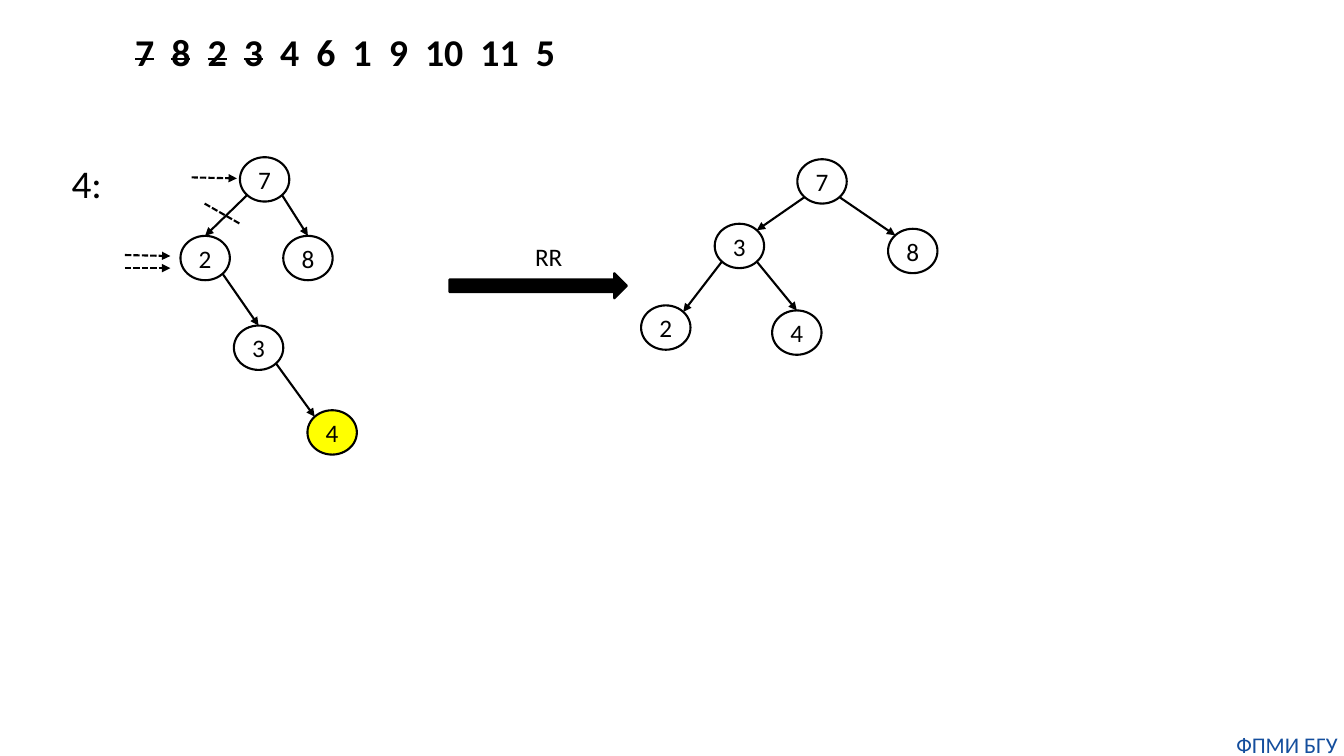
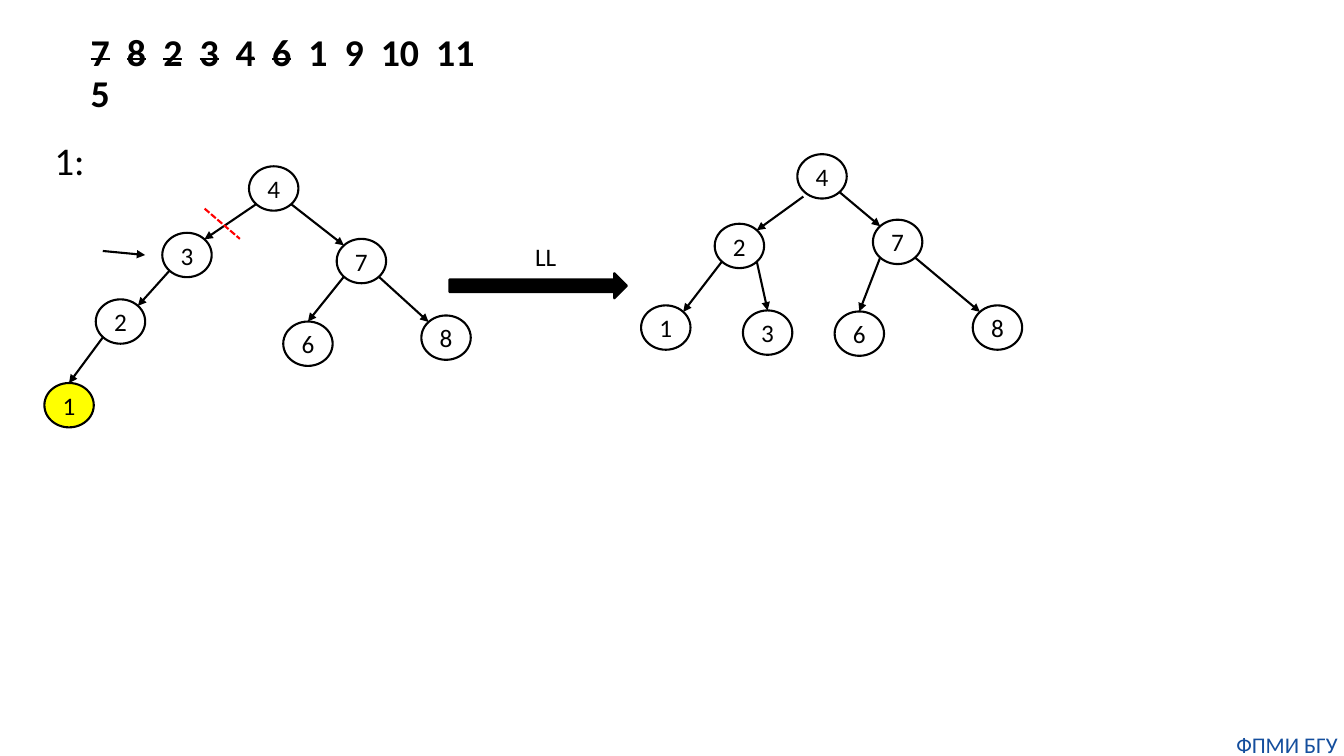
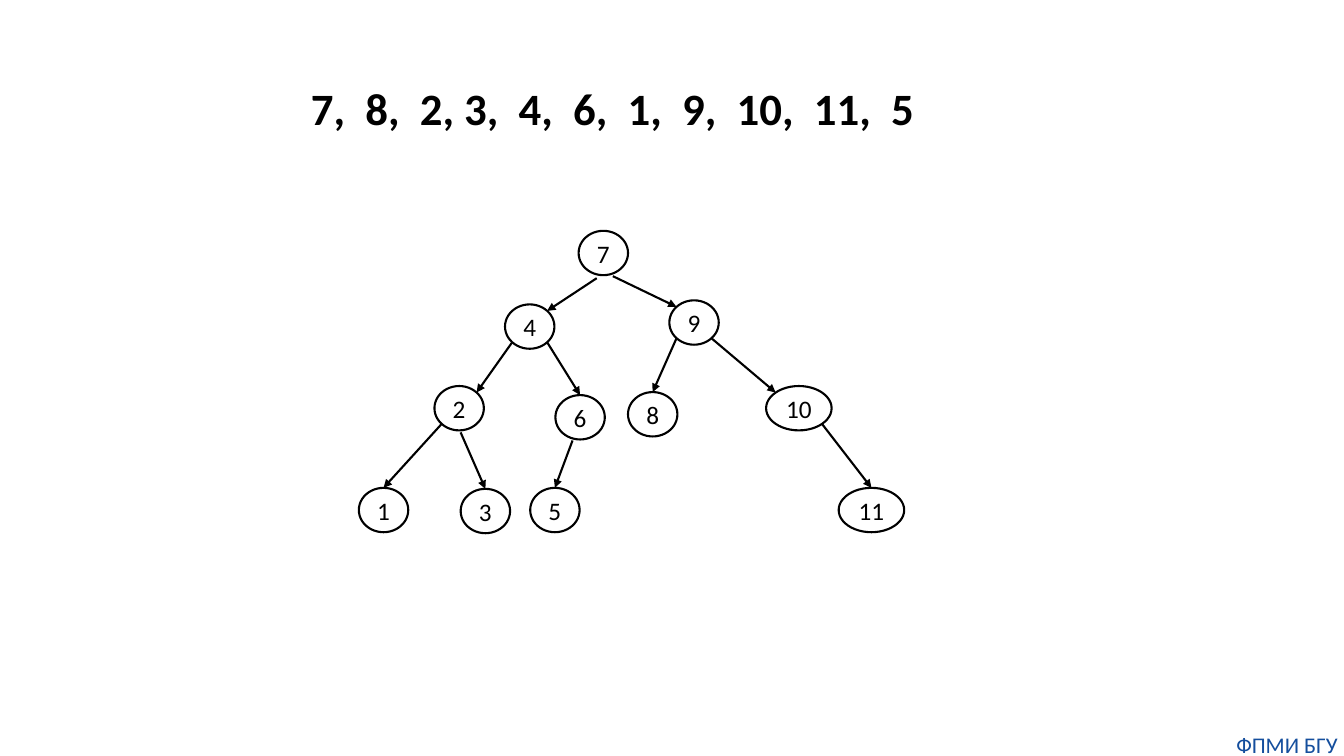
from dataclasses import dataclass
from math import sqrt

from lxml.etree import SubElement
from pptx import Presentation
from pptx.dml.color import RGBColor
from pptx.enum.dml import MSO_LINE
from pptx.enum.shapes import MSO_CONNECTOR, MSO_SHAPE
from pptx.enum.text import MSO_ANCHOR as Anchor, MSO_AUTO_SIZE as AutoSize, PP_ALIGN as Align
from pptx.oxml.ns import qn
from pptx.util import Inches, Pt

# The grid: square cells of a tenth of an inch.
COLUMNS, ROWS = 133.33, 75
NODE_WIDTH, WIDE_NODE, NODE_HEIGHT = 4.9, 6.5, 4.4
DIAGONAL = sqrt(0.5) / 2

FONT = "Calibri"
BLACK = RGBColor(0x00, 0x00, 0x00)
RED = RGBColor(0xFF, 0x00, 0x00)
YELLOW = RGBColor(0xFF, 0xFF, 0x00)
FOOTER_BLUE = RGBColor(0x14, 0x4E, 0x9D)
FOOTER_TEXT = "ФПМИ БГУ"
KEY_GAP = "  "
TITLE_AND_BODY, TITLE_ONLY = 1, 5

Point = tuple[float, float]
Area = tuple[float, float, float, float]


@dataclass(frozen=True)
class Node:
    """A tree node; its edge ends at its top, or at the upper corner facing the parent."""
    key: str
    left: float
    top: float
    parent: str = ""
    at_corner: bool = False
    width: float = NODE_WIDTH
    is_new: bool = False
    edge_start: Point | None = None

    def port(self, across: int, down: int) -> Point:
        """Point on the outline at a diagonal, or straight above or below for across 0."""
        reach = DIAGONAL if across else 0.5
        return (self.left + self.width * (0.5 + across * reach),
                self.top + NODE_HEIGHT * (0.5 + down * reach))


@dataclass(frozen=True)
class Stroke:
    start: Point
    end: Point
    arrow: bool = True
    dashed: bool = False
    color: RGBColor = BLACK


@dataclass(frozen=True)
class Title:
    text: str
    area: Area
    struck: str = ""
    size: float = 27
    align: Align = Align.LEFT
    anchor: Anchor = Anchor.TOP


@dataclass(frozen=True)
class Step:
    """One slide: the key sequence, its trees, and optionally an inserted key and a rotation."""
    title: Title
    trees: tuple[tuple[Node, ...], ...]
    strokes: tuple[Stroke, ...] = ()
    inserted: str = ""
    body_area: Area = (0, 0, 0, 0)
    rotation: str = ""


def cells(*lengths: float) -> list[int]:
    return [Inches(length / 10) for length in lengths]


def style_font(font, size: float, color: RGBColor = BLACK, bold: bool = False) -> None:
    font.name, font.size, font.bold = FONT, Pt(size), bold
    font.color.rgb = color


def place(shape, area: Area) -> None:
    shape.left, shape.top, shape.width, shape.height = cells(*area)


def write_line(frame, text: str, size: float, color: RGBColor = BLACK,
               align: Align = Align.LEFT):
    frame.text = text
    para = frame.paragraphs[0]
    para.alignment = align
    for run in para.runs:
        style_font(run.font, size, color)
    return para


def draw_title(page, title: Title) -> None:
    box = page.shapes.title
    place(box, title.area)
    frame = box.text_frame
    frame.auto_size, frame.word_wrap = AutoSize.NONE, True
    frame.vertical_anchor, frame.margin_bottom = title.anchor, Inches(0.1)
    para = frame.paragraphs[0]
    para.alignment, para.line_spacing = title.align, 0.9
    for index, key in enumerate(title.text.split(KEY_GAP)):
        pieces = [KEY_GAP, key] if index else [key]
        for piece in pieces:
            run = para.add_run()
            run.text = piece
            style_font(run.font, title.size, bold=True)
            if piece in title.struck:
                run.font._element.set("strike", "sngStrike")


def draw_body(page, text: str, area: Area) -> None:
    box = page.placeholders[1]
    place(box, area)
    box.text_frame.auto_size = AutoSize.NONE
    para = write_line(box.text_frame, text, 28)
    para.line_spacing, para.space_before = 0.9, Pt(10)
    properties = para._p.get_or_add_pPr()
    properties.set("marL", "0")
    properties.set("indent", "0")
    SubElement(properties, qn("a:buNone"))


def draw_stroke(page, stroke: Stroke) -> None:
    connector = page.shapes.add_connector(
        MSO_CONNECTOR.STRAIGHT, *cells(*stroke.start, *stroke.end))
    line = connector.line
    line.color.rgb, line.width = stroke.color, Pt(1.5)
    if stroke.dashed:
        line.dash_style = MSO_LINE.SQUARE_DOT
    if stroke.arrow:
        SubElement(line._get_or_add_ln(), qn("a:tailEnd"), type="triangle")
    SubElement(connector._element.spPr, qn("a:effectLst"))


def draw_outlined(page, preset: MSO_SHAPE, area: Area, fill: RGBColor | None):
    shape = page.shapes.add_shape(preset, *cells(*area))
    shape.shadow.inherit = False
    shape.line.color.rgb, shape.line.width = BLACK, Pt(1.5)
    if fill is None:
        shape.fill.background()
    else:
        shape.fill.solid()
        shape.fill.fore_color.rgb = fill
    return shape


def draw_tree(page, tree: tuple[Node, ...]) -> None:
    by_key = {node.key: node for node in tree}
    for node in tree:
        oval = draw_outlined(page, MSO_SHAPE.OVAL,
                             (node.left, node.top, node.width, NODE_HEIGHT),
                             YELLOW if node.is_new else None)
        frame = oval.text_frame
        frame.margin_left = frame.margin_right = frame.margin_top = frame.margin_bottom = 0
        frame.word_wrap, frame.vertical_anchor = False, Anchor.MIDDLE
        write_line(frame, node.key, 18, align=Align.CENTER)
        if node.parent:
            parent = by_key[node.parent]
            side = -1 if node.left < parent.left else 1
            start = node.edge_start or parent.port(side, 1)
            draw_stroke(page, Stroke(start, node.port(-side if node.at_corner else 0, -1)))


def draw_rotation(page, name: str) -> None:
    draw_outlined(page, MSO_SHAPE.RIGHT_ARROW, (44.6, 27.1, 17.6, 2.5), BLACK)
    label = page.shapes.add_textbox(*cells(52.1, 23.4, 4.8, 4))
    label.text_frame.word_wrap = False
    write_line(label.text_frame, name, 18)


def draw_footer(page) -> None:
    width, height = 11.3, 2.7
    box = page.shapes.add_textbox(*cells(COLUMNS - width, 72.5, width, height))
    frame = box.text_frame
    frame.margin_left = frame.margin_right = frame.margin_top = frame.margin_bottom = 0
    frame.word_wrap = True
    write_line(frame, FOOTER_TEXT, 16, FOOTER_BLUE, Align.CENTER)


def draw_step(deck, step: Step) -> None:
    layout = TITLE_AND_BODY if step.inserted else TITLE_ONLY
    page = deck.slides.add_slide(deck.slide_layouts[layout])
    draw_title(page, step.title)
    if step.inserted:
        draw_body(page, f"{step.inserted}:", step.body_area)
    if step.rotation:
        draw_rotation(page, step.rotation)
    for tree in step.trees:
        draw_tree(page, tree)
    for stroke in step.strokes:
        draw_stroke(page, stroke)
    draw_footer(page)


KEYS = "7  8  2  3  4  6  1  9  10  11  5"

STEPS = (
    Step(
        title=Title(KEYS, (12.4, 2.9, 46.4, 10.2), struck="7823"),
        inserted="4", body_area=(6.1, 15.8, 115, 44.5), rotation="RR",
        trees=(
            (Node("7", 23.8, 15.6),
             Node("8", 28.1, 23.4, "7"),
             Node("2", 17.9, 23.4, "7"),
             Node("3", 23.2, 32.3, "2"),
             Node("4", 30.5, 40.7, "3", at_corner=True, is_new=True)),
            (Node("7", 79.1, 15.8),
             Node("3", 70.9, 22.2, "7", at_corner=True),
             Node("8", 88.1, 22.7, "7", at_corner=True),
             Node("2", 63.6, 30.3, "3", at_corner=True),
             Node("4", 76.6, 30.8, "3")),
        ),
        strokes=(
            Stroke((19, 17.6), (23.5, 17.7), dashed=True),
            Stroke((12.4, 25.3), (16.9, 25.4), dashed=True),
            Stroke((12.4, 26.6), (16.9, 26.6), dashed=True),
            Stroke((20.3, 20.2), (23.8, 22.2), arrow=False, dashed=True),
        ),
    ),
    Step(
        title=Title(KEYS, (8, 2.9, 43, 9.7), struck="782346"),
        inserted="1", body_area=(4.4, 13.5, 101.6, 46.8), rotation="LL",
        trees=(
            (Node("4", 24.7, 16.5),
             Node("3", 16.1, 23.1, "4", at_corner=True),
             Node("7", 33.4, 23.7, "4", at_corner=True),
             Node("2", 9.5, 29.7, "3", at_corner=True),
             Node("6", 28.1, 31.9, "7"),
             Node("8", 41.8, 31.3, "7", at_corner=True),
             Node("1", 4.4, 38, "2", is_new=True)),
            (Node("4", 79.1, 15.3),
             Node("2", 70.9, 22.2, "4", at_corner=True, edge_start=(79.7, 19.5)),
             Node("7", 86.6, 21.8, "4", at_corner=True),
             Node("1", 63.6, 30.3, "2", at_corner=True),
             Node("3", 73.7, 30.8, "2"),
             Node("6", 82.8, 30.9, "7"),
             Node("8", 96.5, 30.3, "7", at_corner=True)),
        ),
        strokes=(
            Stroke((10.2, 24.9), (14.4, 25.3)),
            Stroke((20.3, 20.7), (23.8, 23.7), arrow=False, dashed=True, color=RED),
        ),
    ),
    Step(
        title=Title("7,  8,  2, 3,  4,  6,  1,  9,  10,  11,  5", (25.8, 3.8, 70, 10.6),
                    size=32, align=Align.CENTER, anchor=Anchor.BOTTOM),
        trees=(
            (Node("7", 57.4, 22.9),
             Node("4", 50.1, 30.2, "7", at_corner=True, edge_start=(59.2, 27.6)),
             Node("9", 66.4, 29.8, "7", at_corner=True, edge_start=(60.8, 27.4)),
             Node("2", 43.1, 38.3, "4", at_corner=True),
             Node("6", 55.1, 39.2, "4"),
             Node("8", 62.3, 38.9, "9"),
             Node("10", 76, 38.3, "9", at_corner=True, width=WIDE_NODE),
             Node("1", 35.6, 48.4, "2"),
             Node("3", 45.7, 48.5, "2", edge_start=(45.7, 42.9)),
             Node("5", 52.6, 48.4, "6", edge_start=(56.8, 43.7)),
             Node("11", 83.2, 48.4, "10", width=WIDE_NODE)),
        ),
    ),
)


def main() -> None:
    deck = Presentation()
    deck.slide_width, deck.slide_height = cells(COLUMNS, ROWS)
    for step in STEPS:
        draw_step(deck, step)
    deck.save("out.pptx")


if __name__ == "__main__":
    main()
